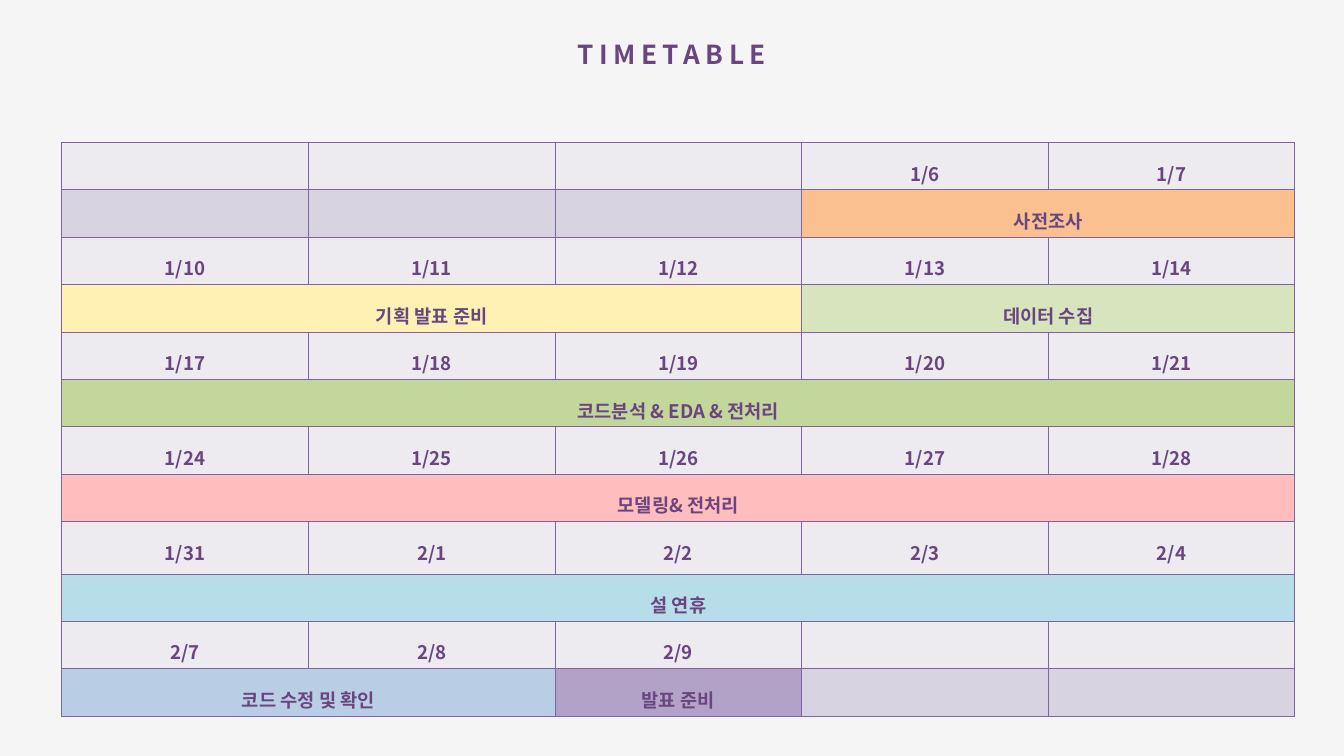
"""Build the project timetable slide: weekly date rows above task rows."""
from dataclasses import dataclass

from lxml import etree
from pptx import Presentation
from pptx import util as u
from pptx.dml.color import RGBColor
from pptx.enum import text
from pptx.oxml import ns

FONT = "Noto Sans CJK KR"
INK, BORDER, BACKGROUND = "694680", "8064A2", "F5F5F5"
DATE_FILL, IDLE_FILL = "EDEAF0", "D8D3E0"
DAYS = 5
COLUMN_WIDTH, ROW_HEIGHT, TALL_ROW_HEIGHT = 3.67, 0.67, 0.78
TALL_ROW = 8


@dataclass
class Task:
    name: str
    first: int
    days: int
    fill: str


@dataclass
class Week:
    dates: list[str]
    tasks: list[Task]


WEEKS = [
    Week(["", "", "", "1/6", "1/7"], [Task("사전조사", 3, 2, "FAC090")]),
    Week(["1/10", "1/11", "1/12", "1/13", "1/14"],
         [Task("기획 발표 준비", 0, 3, "FFF1B3"), Task("데이터 수집", 3, 2, "D7E4BD")]),
    Week(["1/17", "1/18", "1/19", "1/20", "1/21"],
         [Task("코드분석 & EDA & 전처리", 0, 5, "C3D69B")]),
    Week(["1/24", "1/25", "1/26", "1/27", "1/28"], [Task("모델링& 전처리", 0, 5, "FFBDBD")]),
    Week(["1/31", "2/1", "2/2", "2/3", "2/4"], [Task("설 연휴", 0, 5, "B7DEE8")]),
    Week(["2/7", "2/8", "2/9", "", ""],
         [Task("코드 수정 및 확인", 0, 2, "B9CDE5"), Task("발표 준비", 2, 1, "B3A2C7")]),
]


def paint(color_format, value: str) -> None:
    color_format.rgb = RGBColor.from_string(value)


def fill_solid(fill, value: str) -> None:
    fill.solid()
    paint(fill.fore_color, value)


def write(frame, words: str, size: int, spacing: int = 0) -> None:
    paragraph = frame.paragraphs[0]
    paragraph.text = words
    paragraph.alignment = text.PP_ALIGN.CENTER
    paragraph.line_spacing = 1.5
    font = paragraph.font
    font.name, font.size, font.bold = FONT, u.Pt(size), True
    paint(font.color, INK)
    properties = paragraph._p.pPr.find(ns.qn("a:defRPr"))
    etree.SubElement(properties, ns.qn("a:ea"), typeface=FONT)
    if spacing:
        properties.set("spc", str(spacing * 100))


def add_borders(cell) -> None:
    properties = cell._tc.get_or_add_tcPr()
    for position, side in enumerate(("lnL", "lnR", "lnT", "lnB")):
        line = etree.Element(ns.qn(f"a:{side}"), w=str(u.Pt(1)))
        solid = etree.SubElement(line, ns.qn("a:solidFill"))
        etree.SubElement(solid, ns.qn("a:srgbClr"), val=BORDER)
        properties.insert(position, line)


def style_cell(cell, fill: str, words: str = "") -> None:
    fill_solid(cell.fill, fill)
    if words:
        write(cell.text_frame, words, 20)


def add_week(table, top: int, week: Week) -> None:
    for day, date in enumerate(week.dates):
        style_cell(table.cell(top, day), DATE_FILL, date)
        style_cell(table.cell(top + 1, day), IDLE_FILL)
    for task in week.tasks:
        cell = table.cell(top + 1, task.first)
        if task.days > 1:
            cell.merge(table.cell(top + 1, task.first + task.days - 1))
        style_cell(cell, task.fill, task.name)


def add_timetable(slide) -> None:
    row_count = 2 * len(WEEKS)
    table = slide.shapes.add_table(
        row_count, DAYS, u.Inches(0.92), u.Inches(2.12),
        u.Inches(COLUMN_WIDTH * DAYS), u.Inches(ROW_HEIGHT * row_count)).table
    table.first_row = table.horz_banding = False
    for column in table.columns:
        column.width = u.Inches(COLUMN_WIDTH)
    for index, row in enumerate(table.rows):
        row.height = u.Inches(TALL_ROW_HEIGHT if index == TALL_ROW else ROW_HEIGHT)
    for index, week in enumerate(WEEKS):
        add_week(table, 2 * index, week)
    for cell in table.iter_cells():
        add_borders(cell)


def add_title(slide) -> None:
    box = slide.shapes.add_textbox(u.Inches(7.67), u.Inches(0.29), u.Inches(4.65), u.Inches(0.75))
    frame = box.text_frame
    frame.word_wrap = True
    frame.auto_size = text.MSO_AUTO_SIZE.SHAPE_TO_FIT_TEXT
    write(frame, "TIMETABLE", 28, spacing=6)


def main() -> None:
    presentation = Presentation()
    presentation.slide_width, presentation.slide_height = u.Inches(20), u.Inches(11.25)
    slide = presentation.slides.add_slide(presentation.slide_layouts[6])
    fill_solid(slide.background.fill, BACKGROUND)
    add_timetable(slide)
    add_title(slide)
    presentation.save("out.pptx")


if __name__ == "__main__":
    main()
